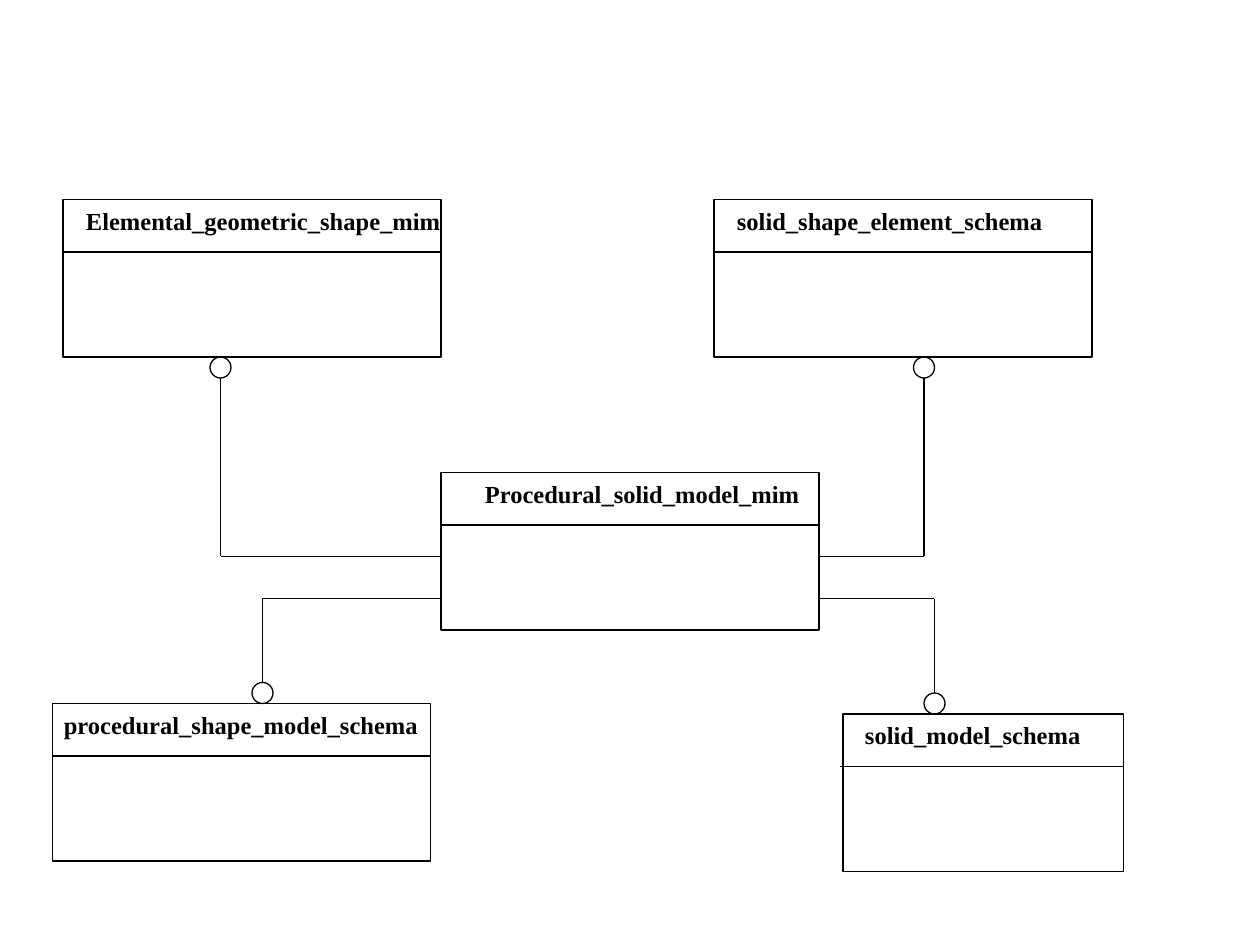
import pptx
import pptx.dml.color
import pptx.enum.shapes
import pptx.enum.text
import pptx.oxml.ns
import pptx.util
from lxml import etree

PX = 7620  # EMU per px, 120 px to the inch
COLORS = {"ink": "000000"}
FONT = "Times New Roman"
DIVIDER_DROP = 50
CIRCLE = 20
SHAPES = pptx.enum.shapes.MSO_SHAPE


def emu(*lengths):
    return [pptx.util.Emu(length * PX) for length in lengths]


def ink():
    return pptx.dml.color.RGBColor.from_string(COLORS["ink"])


def set_line(part):
    part.line.color.rgb = ink()
    part.line.width = pptx.util.Pt(0.75)


def add_outline(slide, kind, left, top, width, height):
    outline = slide.shapes.add_shape(kind, *emu(left, top, width, height))
    outline.shadow.inherit = False
    outline.fill.background()
    set_line(outline)


def add_line(slide, start, end):
    line = slide.shapes.add_connector(
        pptx.enum.shapes.MSO_CONNECTOR.STRAIGHT, *emu(*start, *end))
    set_line(line)
    etree.SubElement(line._element.spPr, pptx.oxml.ns.qn("a:effectLst"))


def add_text(slide, text, left, top, width, height, size=14, bold=True):
    frame = slide.shapes.add_textbox(*emu(left, top, width, height)).text_frame
    frame.word_wrap = False
    frame.auto_size = pptx.enum.text.MSO_AUTO_SIZE.SHAPE_TO_FIT_TEXT
    run = frame.paragraphs[0].add_run()
    run.text = text
    run.font.name = FONT
    run.font.size = pptx.util.Pt(size)
    run.font.bold = bold
    run.font.color.rgb = ink()


def add_schema(slide, name, left, top, indent, name_width,
               width=360, height=150, overhang=0):
    """Schema box: outline, divider and name."""
    add_outline(slide, SHAPES.RECTANGLE, left, top, width, height)
    divider = top + DIVIDER_DROP
    add_line(slide, (left - overhang, divider), (left + width, divider))
    add_text(slide, name, left + indent, top, name_width, 41)


def add_reference(slide, x, circle_top, source_x, source_y):
    """Elbow from the central box to a circle touching a schema box."""
    add_outline(slide, SHAPES.OVAL, x - CIRCLE // 2, circle_top, CIRCLE, CIRCLE)
    circle_edge = circle_top + CIRCLE if circle_top < source_y else circle_top
    add_line(slide, (x, circle_edge), (x, source_y))
    add_line(slide, (x, source_y), (source_x, source_y))


def main():
    deck = pptx.Presentation()
    deck.slide_width, deck.slide_height = emu(1200, 900)
    slide = deck.slides.add_slide(deck.slide_layouts[6])

    # Central schema
    left, top, width = 420, 450, 360
    right = left + width
    add_schema(slide, "Procedural_solid_model_mim", left, top, 30, 326, width)

    # Referenced schemas
    add_schema(slide, "Elemental_geometric_shape_mim", 60, 190, 10, 364)
    add_schema(slide, "solid_shape_element_schema", 680, 190, 10, 318)
    add_schema(slide, "procedural_shape_model_schema", 50, 670, -1, 364)
    add_schema(slide, "solid_model_schema", 803, 680, 9, 232,
               width=267, overhang=3)

    # References from the central schema
    upper, lower = top + 80, top + 120
    add_reference(slide, 210, 340, left, upper)
    add_reference(slide, 880, 340, right, upper)
    add_reference(slide, 250, 650, left, lower)
    add_reference(slide, 890, 660, right, lower)

    deck.save("out.pptx")


if __name__ == "__main__":
    main()
